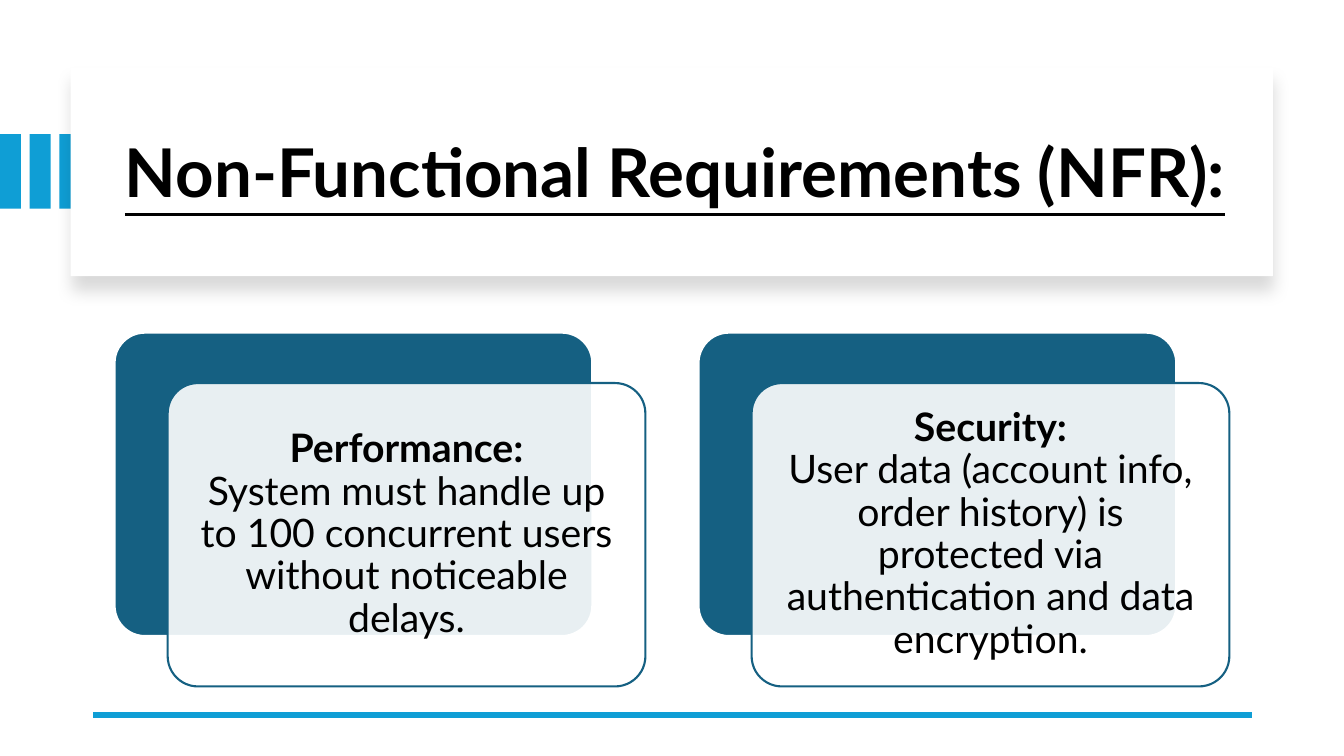
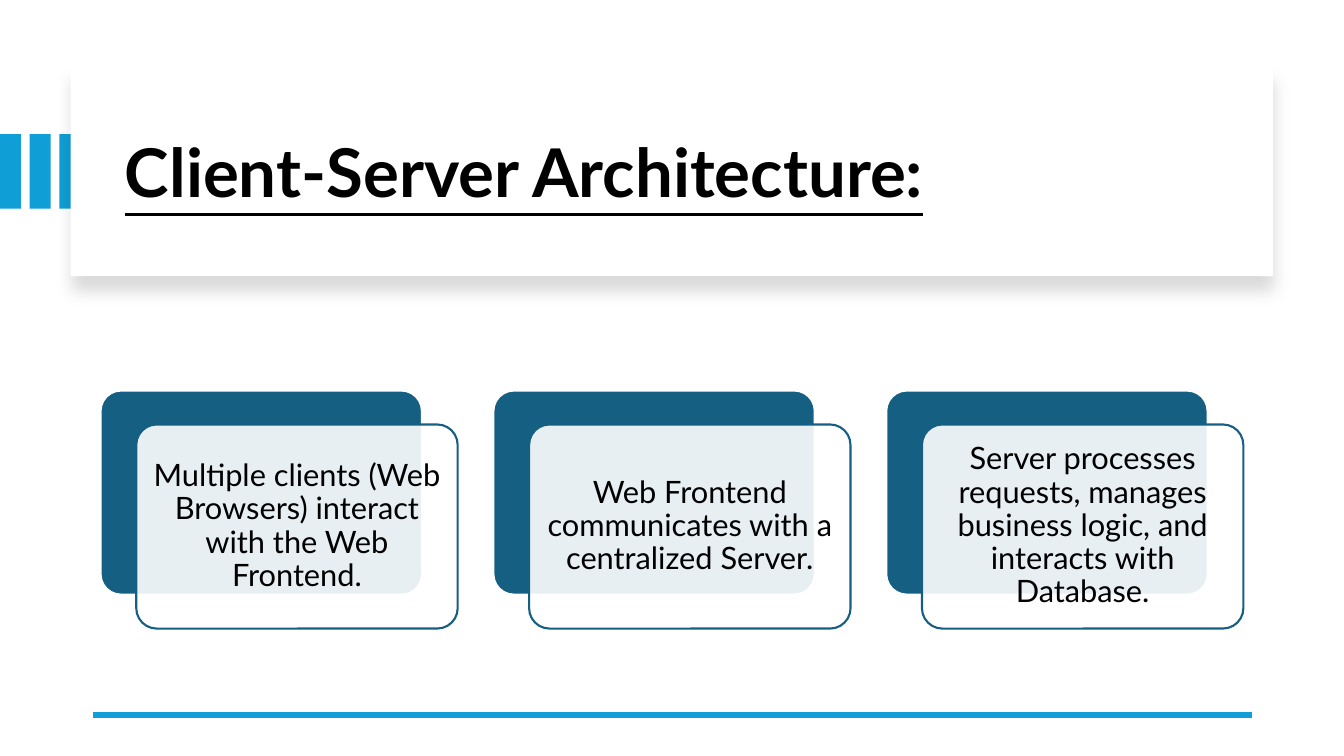
import lxml.etree
import pptx
import pptx.dml.color
import pptx.enum.shapes
import pptx.enum.text
import pptx.oxml.ns
import pptx.util

Cm = pptx.util.Cm
Pt = pptx.util.Pt
SHAPES = pptx.enum.shapes.MSO_SHAPE
ALIGN = pptx.enum.text.PP_ALIGN
qn = pptx.oxml.ns.qn

SLIDE_WIDTH, SLIDE_HEIGHT = 33.87, 19.05
COLOURS = {"accent": "0F9ED5", "card": "156082", "white": "FFFFFF", "text": "000000"}

# Text formats
TITLE_FONT = {"name": "Lato", "size": Pt(48), "bold": True, "underline": True}
BODY_FONT = {"name": "Lato", "bold": False}

# Card proportions, relative to the width of a card
CARD_HEIGHT = 0.635
CARD_SHIFT_X, CARD_SHIFT_Y = 1 / 9, 0.1055
CARD_PITCH = 11 / 9
CARDS_MIDDLE = 12.84

# A card is a (heading, text) pair
SLIDES = [
    {
        "title": "Non-Functional Requirements (NFR):",
        "card_width": 12.04, "size": 28, "inset": 0.3,
        "cards": [
            ("Performance:", "System must handle up to 100 concurrent users "
                             "without noticeable delays."),
            ("Security:", "User data (account info, order history) is protected "
                          "via authentication and data encryption."),
        ],
    },
    {
        "title": "Client-Server Architecture:",
        "card_width": 8.1, "size": 22, "inset": 0.23,
        "cards": [
            ("", "Multiple clients (Web Browsers) interact with the Web Frontend."),
            ("", "Web Frontend communicates with a centralized Server."),
            ("", "Server processes requests, manages business logic, "
                 "and interacts with Database."),
        ],
    },
]


def colour(name):
    return pptx.dml.color.RGBColor.from_string(COLOURS[name])


def set_values(target, values):
    for name, value in values.items():
        setattr(target, name, value)


def add_box(shapes, kind, left, top, width, height, fill, line=None):
    shape = shapes.add_shape(kind, Cm(left), Cm(top), Cm(width), Cm(height))
    shape.shadow.inherit = False
    shape.fill.solid()
    shape.fill.fore_color.rgb = colour(fill)
    if line:
        shape.line.color.rgb = colour(line)
        shape.line.width = Pt(1.5)
    else:
        shape.line.fill.background()
    return shape


def set_alpha(parent, percent):
    """Set the opacity of the RGB colour inside an XML element."""
    rgb = next(parent.iter(qn("a:srgbClr")))
    lxml.etree.SubElement(rgb, qn("a:alpha"), val=str(percent * 1000))


def add_soft_shadow(shape):
    effects = shape.element.spPr.find(qn("a:effectLst"))
    shadow = lxml.etree.SubElement(
        effects, qn("a:outerShdw"), blurRad=str(Pt(11)), dist=str(Pt(10)),
        dir=str(90 * 60000), algn="t", rotWithShape="0")
    lxml.etree.SubElement(shadow, qn("a:srgbClr"), val=COLOURS["text"])
    set_alpha(shadow, 15)


def add_run(paragraph, text, font):
    run = paragraph.add_run()
    run.text = text
    set_values(run.font, font)
    run.font.color.rgb = colour("text")


def start_text(shape, alignment, **frame_values):
    """Prepare the text frame of a shape and return its paragraph."""
    frame = shape.text_frame
    set_values(frame, {"word_wrap": True,
                       "vertical_anchor": pptx.enum.text.MSO_ANCHOR.MIDDLE,
                       **frame_values})
    paragraph = frame.paragraphs[0]
    set_values(paragraph, {"alignment": alignment, "line_spacing": 0.9})
    return paragraph


def add_title(slide, text):
    # Side bars
    bars = slide.shapes.add_group_shape()
    for index in range(3):
        add_box(bars.shapes, SHAPES.RECTANGLE, index * 0.75, 3.38, 0.53, 1.88, "accent")
    # Raised panel with the title
    panel = add_box(slide.shapes, SHAPES.RECTANGLE, 1.78, 1.7, 30.3, 5.26, "white")
    add_soft_shadow(panel)
    title = slide.shapes.add_textbox(Cm(2.9), Cm(2.26), Cm(28.3), Cm(4.32))
    add_run(start_text(title, ALIGN.LEFT), text, TITLE_FONT)


def add_footer_line(slide):
    line = slide.shapes.add_connector(
        pptx.enum.shapes.MSO_CONNECTOR.STRAIGHT, Cm(31.55), Cm(18.01), Cm(2.34), Cm(18.01))
    line.line.color.rgb = colour("accent")
    line.line.width = Pt(4.5)
    lxml.etree.SubElement(line.element.spPr, qn("a:effectLst"))


def add_card(shapes, left, top, content, card):
    width = content["card_width"]
    height = CARD_HEIGHT * width
    back = add_box(shapes, SHAPES.ROUNDED_RECTANGLE, left, top, width, height,
                   "card", "white")
    front = add_box(shapes, SHAPES.ROUNDED_RECTANGLE, left + CARD_SHIFT_X * width,
                    top + CARD_SHIFT_Y * width, width, height, "white", "card")
    for shape in (back, front):
        shape.adjustments[0] = 0.1
    set_alpha(front.element.spPr.find(qn("a:solidFill")), 90)

    # Text on the front sheet
    inset = Cm(content["inset"])
    paragraph = start_text(front, ALIGN.CENTER, margin_left=inset, margin_right=inset,
                           margin_top=inset, margin_bottom=inset)
    font = {**BODY_FONT, "size": Pt(content["size"])}
    heading, text = card
    if heading:
        add_run(paragraph, heading, {**font, "bold": True})
        paragraph.add_line_break()
    add_run(paragraph, text, font)


def add_cards(slide, content):
    """Centre a row of equally spaced cards on the slide."""
    width, cards = content["card_width"], content["cards"]
    row_width = ((len(cards) - 1) * CARD_PITCH + 1 + CARD_SHIFT_X) * width
    left = (SLIDE_WIDTH - row_width) / 2
    top = CARDS_MIDDLE - (CARD_HEIGHT + CARD_SHIFT_Y) * width / 2
    group = slide.shapes.add_group_shape()
    for index, card in enumerate(cards):
        add_card(group.shapes, left + index * CARD_PITCH * width, top, content, card)


def main():
    presentation = pptx.Presentation()
    set_values(presentation, {"slide_width": Cm(SLIDE_WIDTH),
                              "slide_height": Cm(SLIDE_HEIGHT)})
    for content in SLIDES:
        slide = presentation.slides.add_slide(presentation.slide_layouts[6])
        add_title(slide, content["title"])
        add_footer_line(slide)
        add_cards(slide, content)
    presentation.save("out.pptx")


if __name__ == "__main__":
    main()
